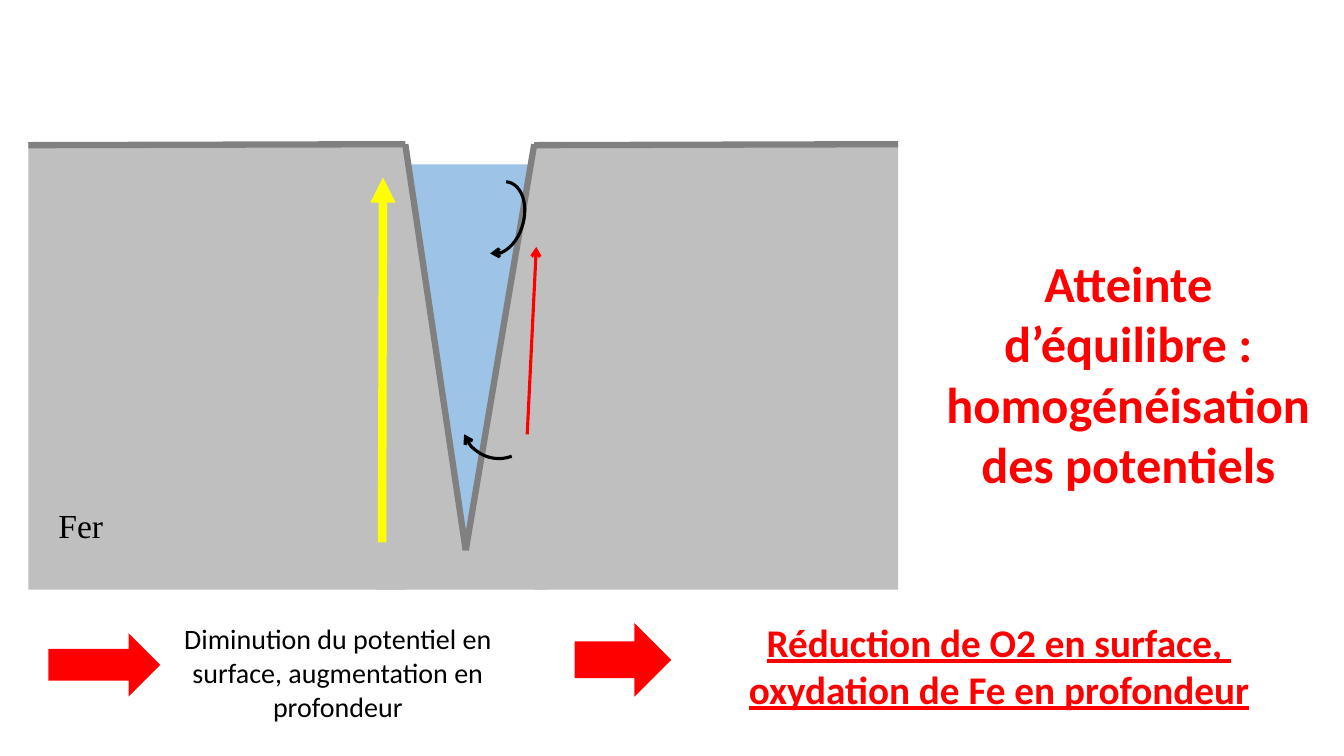
import pptx
import pptx.util
import pptx.dml.color
import pptx.enum.shapes
import pptx.enum.text
import pptx.oxml.ns
import lxml.etree

Pt = pptx.util.Pt
SHAPES = pptx.enum.shapes.MSO_SHAPE
STEEL, EDGE, WATER = "BFBFBF", "808080", "9DC3E6"
RED, YELLOW, BLACK = "FF0000", "FFFF00", "000000"


def color(target, value):
    target.rgb = pptx.dml.color.RGBColor.from_string(value)


def add_tip(shape, tip):
    """Put an arrowhead at the end of a line or arc."""
    outline = shape._element.spPr.get_or_add_ln()
    end = lxml.etree.SubElement(outline, pptx.oxml.ns.qn("a:tailEnd"))
    end.set("type", tip)


def add_filled(page, kind, box, fill, adjust=None, rotation=0):
    shape = page.shapes.add_shape(kind, *map(Pt, box))
    shape.shadow.inherit = False
    shape.fill.solid()
    color(shape.fill.fore_color, fill)
    shape.line.fill.background()
    shape.rotation = rotation
    if adjust is not None:
        shape.adjustments[0] = adjust


def add_line(page, start, end, stroke, width, tip=None):
    line = page.shapes.add_connector(
        pptx.enum.shapes.MSO_CONNECTOR.STRAIGHT, *map(Pt, (*start, *end)))
    lxml.etree.SubElement(line._element.spPr, pptx.oxml.ns.qn("a:effectLst"))
    color(line.line.color, stroke)
    line.line.width = Pt(width)
    if tip:
        add_tip(line, tip)


def add_arc(page, box, rotation, start=None):
    arc = page.shapes.add_shape(SHAPES.ARC, *map(Pt, box))
    arc.shadow.inherit = False
    arc.fill.background()
    color(arc.line.color, BLACK)
    arc.line.width = Pt(2.25)
    arc.rotation = rotation
    if start is not None:
        arc.adjustments[0] = start
    add_tip(arc, "arrow")


def add_text(page, box, lines, size, ink=BLACK, font="Calibri", bold=False,
             underline=False, centered=True):
    frame = page.shapes.add_textbox(*map(Pt, box)).text_frame
    frame.word_wrap = True
    frame.auto_size = pptx.enum.text.MSO_AUTO_SIZE.SHAPE_TO_FIT_TEXT
    for number, text in enumerate(lines):
        para = frame.add_paragraph() if number else frame.paragraphs[0]
        if centered:
            para.alignment = pptx.enum.text.PP_ALIGN.CENTER
        span = para.add_run()
        span.text = text
        span.font.name = font
        span.font.size = Pt(size)
        span.font.bold = bold
        span.font.underline = underline
        color(span.font.color, ink)


def draw_crack(page, left, top, width, height):
    """Iron block split by a water-filled crack, with the flows around it."""
    def place(x, y, *size):
        return (left + x, top + y, *size)

    mouth_left, mouth_right = 269.3, 361.4
    tip = place(312.5, 289.4)

    # Iron on both sides and under the crack
    add_filled(page, SHAPES.RECTANGLE, place(0, 0, mouth_left, height), STEEL)
    add_filled(page, SHAPES.RECTANGLE,
               place(mouth_right, 0, width - mouth_right, height), STEEL)
    add_filled(page, SHAPES.RECTANGLE, place(248.4, height - 27.4, 123.1, 27.4), STEEL)
    add_filled(page, SHAPES.ISOSCELES_TRIANGLE, place(265.7, 0, 49, 290.9), STEEL, 0.05)
    add_filled(page, SHAPES.ISOSCELES_TRIANGLE, place(312.5, 6.5, 49, 291.6), STEEL, 1)

    # Water
    add_filled(page, SHAPES.ISOSCELES_TRIANGLE,
               place(271.4, 13.7, 87.8, 276.5), WATER, 0.52, 180)

    # Surface, rising slightly to the right, and crack walls
    for start, end, mouth in ((0, mouth_left, mouth_left),
                              (mouth_right, width, mouth_right)):
        add_line(page, place(start, 0), place(end, -0.7), EDGE, 4.5)
        add_line(page, place(mouth, -0.7), tip, EDGE, 4.5)

    # Flows
    add_line(page, place(252.7, 283.7), place(253.4, 23), YELLOW, 6, "triangle")
    add_line(page, place(356.4, 206.6), place(362.9, 72.7), RED, 2.25, "arrow")
    add_arc(page, place(309.6, 170.6, 52.6, 53.3), 159.4)
    add_arc(page, place(310.3, 34.6, 52.6, 34.6), 104.9, 105.35)

    # Metal label
    add_text(page, place(14.4, 253.4, 51.1, 36), ["Fer"], 24,
             font="Times New Roman", centered=False)


def draw_conclusion(page, left, top, width, height):
    add_text(page, (left, top, width, height),
             ["Atteinte d’équilibre : homogénéisation des potentiels"],
             36, RED, bold=True)


def draw_consequences(page, left, top, width, height):
    """Two red arrows, each followed by its consequence."""
    add_filled(page, SHAPES.RIGHT_ARROW, (left, top + 14.4, 79.9, 45.4), RED)
    add_text(page, (left + 88.6, top + 2.9, 236.2, height - 2.9),
             ["Diminution du potentiel en surface, augmentation en profondeur"], 20)
    add_filled(page, SHAPES.RIGHT_ARROW, (left + 375.8, top + 7.2, 69.1, 52.6), RED)
    add_text(page, (left + width - 404.6, top, 404.6, 74.9),
             ["Réduction de O2 en surface, ", "oxydation de Fe en profondeur"],
             28, RED, bold=True, underline=True)


def main():
    deck = pptx.Presentation()
    deck.slide_width, deck.slide_height = Pt(960), Pt(540)
    page = deck.slides.add_slide(deck.slide_layouts[6])
    draw_crack(page, 20.2, 103.7, 621.4, 317.5)
    draw_conclusion(page, 656.6, 176.4, 298.8, 181.4)
    draw_consequences(page, 34.6, 437.8, 881.2, 82.8)
    deck.save("out.pptx")


if __name__ == "__main__":
    main()
